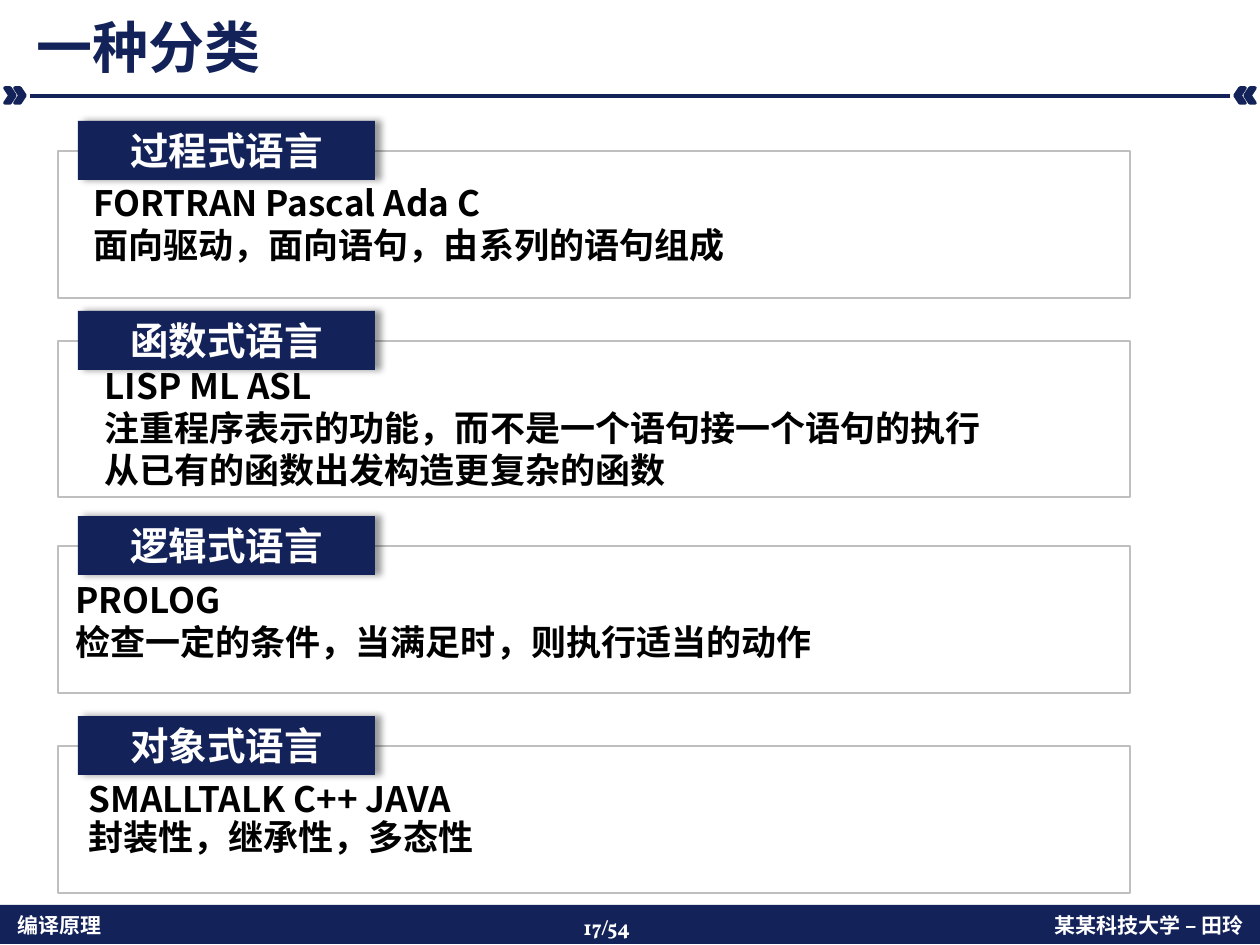
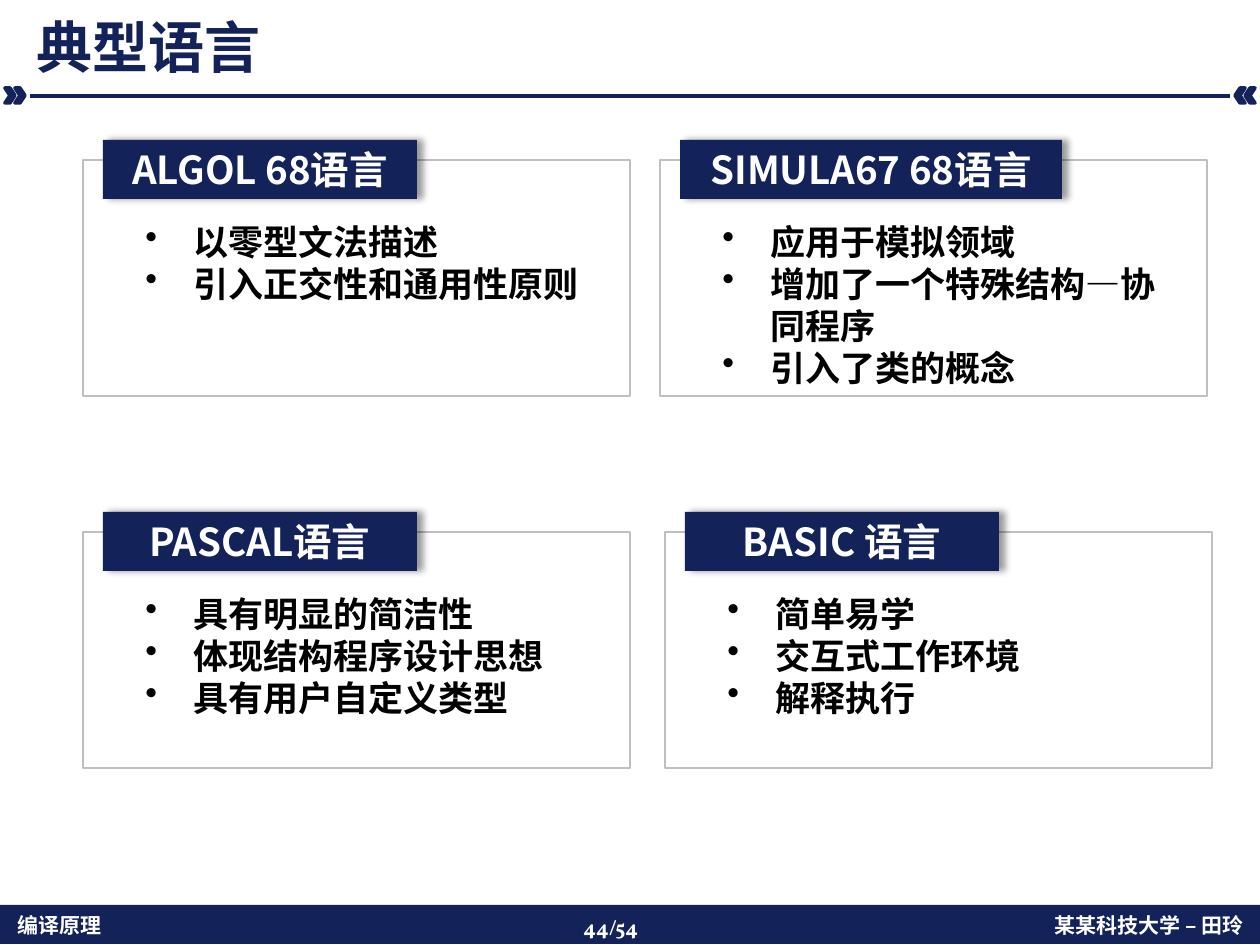
import pptx
import pptx.util
import pptx.dml.color
import pptx.oxml.ns
from lxml import etree
from pptx.enum.shapes import MSO_CONNECTOR, MSO_SHAPE
from pptx.enum.text import MSO_ANCHOR, PP_ALIGN

# Content: each card has a title, lines and its own places
PARADIGMS = [
    dict(title="过程式语言", top=151, height=147, text_at=(81, 175), text_width=723,
         lines=["FORTRAN Pascal Ada C", "面向驱动，面向语句，由系列的语句组成"]),
    dict(title="函数式语言", top=341, height=156, text_at=(92, 358), text_width=1004,
         lines=["LISP ML ASL", "注重程序表示的功能，而不是一个语句接一个语句的执行",
                "从已有的函数出发构造更复杂的函数"]),
    dict(title="逻辑式语言", top=546, height=147, text_at=(63, 572), text_width=834,
         lines=["PROLOG", "检查一定的条件，当满足时，则执行适当的动作"]),
    dict(title="对象式语言", top=746, height=147, text_at=(76, 776), text_width=1109,
         lines=["SMALLTALK C++ JAVA", "封装性，继承性，多态性"], spacing=0.9),
]
LANGUAGES = [
    dict(title="ALGOL 68语言", at=(83, 160), tab_width=314,
         lines=["以零型文法描述", "引入正交性和通用性原则"]),
    dict(title="SIMULA67 68语言", at=(660, 160), tab_width=382,
         lines=["应用于模拟领域", "增加了一个特殊结构—协同程序", "引入了类的概念"]),
    dict(title="PASCAL语言", at=(83, 532), tab_width=314,
         lines=["具有明显的简洁性", "体现结构程序设计思想", "具有用户自定义类型"]),
    dict(title="BASIC 语言", at=(665, 532), tab_width=314,
         lines=["简单易学", "交互式工作环境", "解释执行"]),
]
COURSE = "编译原理"
AUTHOR = "某某科技大学 – 田玲"
PAGE_COUNT = 54

# Shared style
NAVY, GREY, BLACK, WHITE = "132259", "BFBFBF", "000000", "FFFFFF"
SANS, SERIF = "Noto Sans CJK SC", "Vollkorn"
PX_PER_INCH = 126
SLIDE_W, SLIDE_H = 1260, 945
RULE_Y, RULE_INSET = 96, 30
TAB_HEIGHT = 59
BULLET_INDENT = 48


def px(length):
    return pptx.util.Emu(round(length * 914400 / PX_PER_INCH))


def color(hex_text):
    return pptx.dml.color.RGBColor.from_string(hex_text)


def add_element(parent, tag, **attributes):
    return etree.SubElement(parent, pptx.oxml.ns.qn(tag), attributes)


def write(frame, lines, size, ink, font=SANS, align=PP_ALIGN.LEFT, spacing=None):
    frame.word_wrap = True
    frame.text = "\n".join(lines)
    for paragraph in frame.paragraphs:
        paragraph.alignment = align
        paragraph.line_spacing = spacing
        for run in paragraph.runs:
            run.font.size = pptx.util.Pt(size)
            run.font.bold = True
            run.font.color.rgb = color(ink)
            run.font.name = font
            add_element(run.font._element, "a:ea", typeface=SANS)


def add_text(slide, left, top, width, height, lines, size, ink, **style):
    box = slide.shapes.add_textbox(px(left), px(top), px(width), px(height))
    write(box.text_frame, lines, size, ink, **style)
    return box


def add_block(slide, kind, left, top, width, height, fill=None, line=None, weight=2):
    block = slide.shapes.add_shape(kind, px(left), px(top), px(width), px(height))
    block.shadow.inherit = False
    if fill:
        block.fill.solid()
        block.fill.fore_color.rgb = color(fill)
    else:
        block.fill.background()
    if line:
        block.line.color.rgb = color(line)
        block.line.width = pptx.util.Pt(weight)
    else:
        block.line.fill.background()
    return block


def add_bullets(box):
    for paragraph in box.text_frame.paragraphs:
        properties = paragraph._p.get_or_add_pPr()
        properties.set("marL", str(px(BULLET_INDENT)))
        properties.set("indent", str(-px(BULLET_INDENT)))
        add_element(properties, "a:buChar", char="•")


def add_drop_shadow(shape):
    effects = shape._element.spPr.find(pptx.oxml.ns.qn("a:effectLst"))
    shadow = add_element(effects, "a:outerShdw", blurRad=str(pptx.util.Pt(4)),
                         dist=str(pptx.util.Pt(3)), dir="0", algn="l", rotWithShape="0")
    shade = add_element(shadow, "a:srgbClr", val=BLACK)
    add_element(shade, "a:alpha", val="40000")


def add_card(slide, title, lines, frame, tab, text, spacing=None, bulleted=False):
    # The tab comes last because it covers the frame and the text
    body = add_text(slide, *text, lines, 20, BLACK, spacing=spacing)
    if bulleted:
        add_bullets(body)
    add_block(slide, MSO_SHAPE.RECTANGLE, *frame, line=GREY, weight=1.5)
    label = add_block(slide, MSO_SHAPE.RECTANGLE, *tab, fill=NAVY)
    add_drop_shadow(label)
    label.text_frame.vertical_anchor = MSO_ANCHOR.MIDDLE
    write(label.text_frame, [title], 22, WHITE, align=PP_ALIGN.CENTER)


def add_page(deck, heading, number):
    slide = deck.slides.add_slide(deck.slide_layouts[5])

    # Title and rule with chevrons at both ends
    title = slide.shapes.title
    title.left, title.top, title.width, title.height = map(px, (24, 6, 1211, 81))
    title.text_frame.vertical_anchor = MSO_ANCHOR.BOTTOM
    write(title.text_frame, [heading], 32, NAVY, font=SERIF, spacing=0.9)
    for left in (5, 15, 1235, 1245):
        chevron = add_block(slide, MSO_SHAPE.CHEVRON, left, 88, 10, 15, fill=NAVY, line=NAVY)
        if left > SLIDE_W / 2:
            chevron.rotation = 180
    rule = slide.shapes.add_connector(MSO_CONNECTOR.STRAIGHT, px(RULE_INSET), px(RULE_Y),
                                      px(SLIDE_W - RULE_INSET), px(RULE_Y))
    rule.line.color.rgb = color(NAVY)
    rule.line.width = pptx.util.Pt(2)
    add_element(rule._element.spPr, "a:effectLst")

    # Footer
    add_block(slide, MSO_SHAPE.RECTANGLE, 0, 905, SLIDE_W, 39, fill=NAVY)
    add_text(slide, 5, 906, 370, 38, [COURSE], 12, WHITE)
    add_text(slide, 880, 906, 376, 38, [AUTHOR], 12, WHITE, align=PP_ALIGN.RIGHT)
    add_text(slide, 571, 908, 118, 38, [f"{number}/{PAGE_COUNT}"], 12, WHITE, font=SERIF)
    return slide


def main():
    deck = pptx.Presentation()
    deck.slide_width, deck.slide_height = px(SLIDE_W), px(SLIDE_H)

    # Language paradigms in one column
    slide = add_page(deck, "一种分类", 17)
    for card in PARADIGMS:
        top, height = card["top"], card["height"]
        add_card(slide, card["title"], card["lines"],
                 frame=(58, top, 1072, height),
                 tab=(78, top - 30, 297, TAB_HEIGHT),
                 text=(*card["text_at"], card["text_width"], 100),
                 spacing=card.get("spacing"))

    # Typical languages, two by two
    slide = add_page(deck, "典型语言", 44)
    for card in LANGUAGES:
        left, top = card["at"]
        add_card(slide, card["title"], card["lines"],
                 frame=(left, top, 547, 236),
                 tab=(left + 20, top - 20, card["tab_width"], TAB_HEIGHT),
                 text=(left + 50, top + 54, 483, 140),
                 bulleted=True)

    deck.save("out.pptx")


if __name__ == "__main__":
    main()
